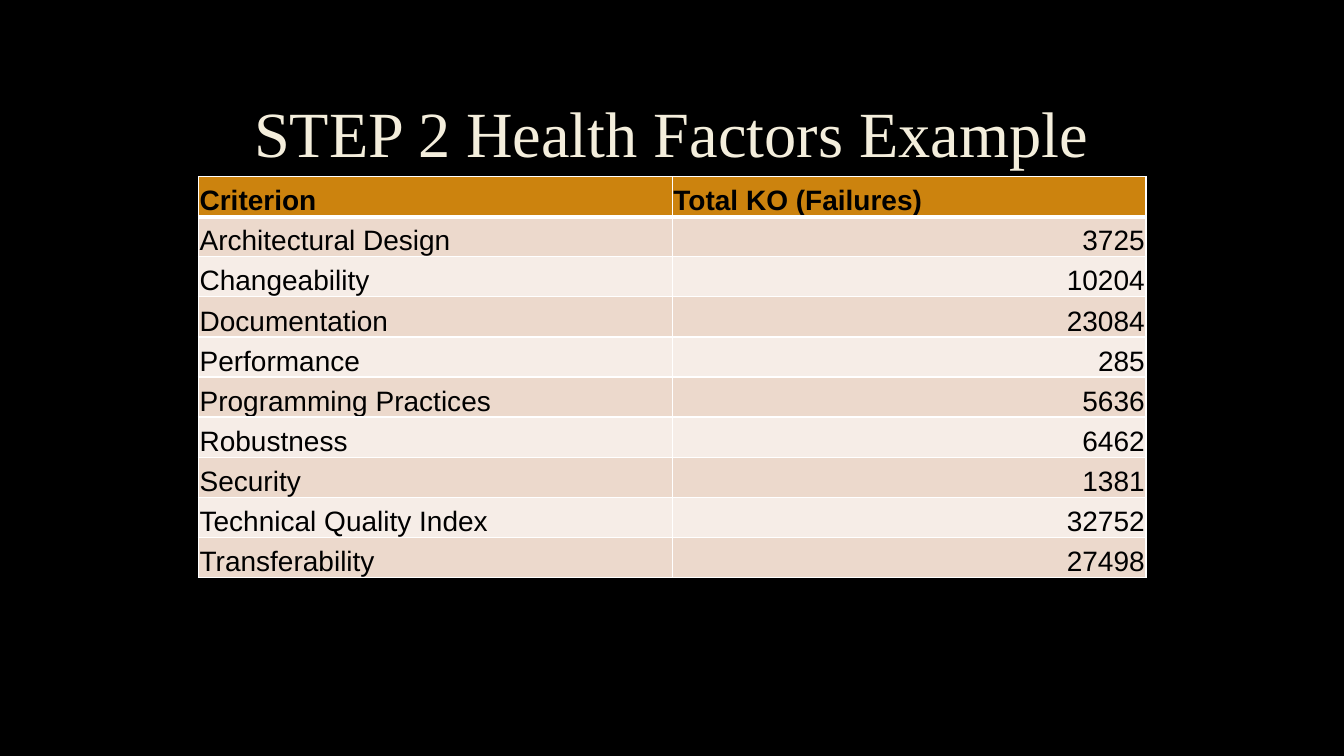
import pptx
import pptx.dml.color
import pptx.enum.text
import pptx.oxml
import pptx.oxml.ns
import pptx.util

Cm, Pt = pptx.util.Cm, pptx.util.Pt
RGBColor = pptx.dml.color.RGBColor
Align = pptx.enum.text.PP_ALIGN
Anchor = pptx.enum.text.MSO_ANCHOR

TITLE = "STEP 2 Health Factors Example"
HEADER = ("Criterion", "Total KO (Failures)")
HEALTH_FACTORS = [
    ("Architectural Design", 3725),
    ("Changeability", 10204),
    ("Documentation", 23084),
    ("Performance", 285),
    ("Programming Practices", 5636),
    ("Robustness", 6462),
    ("Security", 1381),
    ("Technical Quality Index", 32752),
    ("Transferability", 27498),
]

THEME = {
    "background": "000000",
    "title": "F4EEDC",
    "text": "000000",
    "header": "CC830E",
    "bands": ("ECD9CC", "F6EDE7"),
    "border": "FFFFFF",
    "title_font": "Times New Roman",
    "table_font": "Arial",
    "title_size": 46,
    "table_size": 20,
    "border_width": 1,
    "header_border_width": 3,
}

SLIDE_SIZE = (33.87, 19.05)
TITLE_BOX = (2.54, 1.7, 28.75, 3.5)
TABLE_LEFT, TABLE_TOP = 5.0, 4.45
COLUMN_WIDTH, ROW_HEIGHT = 11.94, 1.01
CELL_MARGIN = 0.03


def write_text(frame, text, *, font, size, color, bold=False,
               align=Align.LEFT, line_spacing=1.0):
    paragraph = frame.paragraphs[0]
    paragraph.alignment = align
    paragraph.line_spacing = line_spacing
    run = paragraph.add_run()
    run.text = text
    run.font.name = font
    run.font.size = Pt(size)
    run.font.bold = bold
    run.font.color.rgb = RGBColor.from_string(color)


def set_borders(cell, bottom_width):
    properties = cell._tc.get_or_add_tcPr()
    for side in "LRTB":
        width = bottom_width if side == "B" else THEME["border_width"]
        properties.append(pptx.oxml.parse_xml(
            f'<a:ln{side} {pptx.oxml.ns.nsdecls("a")} w="{Pt(width)}">'
            f'<a:solidFill><a:srgbClr val="{THEME["border"]}"/></a:solidFill>'
            f'</a:ln{side}>'))


def add_title(slide):
    shape = slide.shapes.add_textbox(*map(Cm, TITLE_BOX))
    shape.text_frame.word_wrap = True
    shape.text_frame.vertical_anchor = Anchor.MIDDLE
    write_text(shape.text_frame, TITLE, font=THEME["title_font"],
               size=THEME["title_size"], color=THEME["title"],
               align=Align.CENTER, line_spacing=0.9)


def format_cell(cell, value, fill, is_header):
    cell.vertical_anchor = Anchor.BOTTOM
    cell.margin_left = cell.margin_right = cell.margin_top = Cm(CELL_MARGIN)
    cell.margin_bottom = 0
    set_borders(cell, THEME["header_border_width" if is_header else "border_width"])
    cell.fill.solid()
    cell.fill.fore_color.rgb = RGBColor.from_string(fill)
    write_text(cell.text_frame, str(value), font=THEME["table_font"],
               size=THEME["table_size"], color=THEME["text"], bold=is_header,
               align=Align.RIGHT if isinstance(value, int) else Align.LEFT)


def add_health_table(slide):
    rows = [HEADER] + HEALTH_FACTORS
    table = slide.shapes.add_table(
        len(rows), len(HEADER), Cm(TABLE_LEFT), Cm(TABLE_TOP),
        Cm(COLUMN_WIDTH * len(HEADER)), Cm(ROW_HEIGHT * len(rows))).table
    for column in table.columns:
        column.width = Cm(COLUMN_WIDTH)
    for row_index, values in enumerate(rows):
        table.rows[row_index].height = Cm(ROW_HEIGHT)
        is_header = row_index == 0
        fill = THEME["header"] if is_header else THEME["bands"][(row_index - 1) % 2]
        for column_index, value in enumerate(values):
            format_cell(table.cell(row_index, column_index), value, fill, is_header)


def main():
    presentation = pptx.Presentation()
    presentation.slide_width, presentation.slide_height = map(Cm, SLIDE_SIZE)
    slide = presentation.slides.add_slide(presentation.slide_layouts[6])
    slide.background.fill.solid()
    slide.background.fill.fore_color.rgb = RGBColor.from_string(THEME["background"])
    add_title(slide)
    add_health_table(slide)
    presentation.save("out.pptx")


if __name__ == "__main__":
    main()
